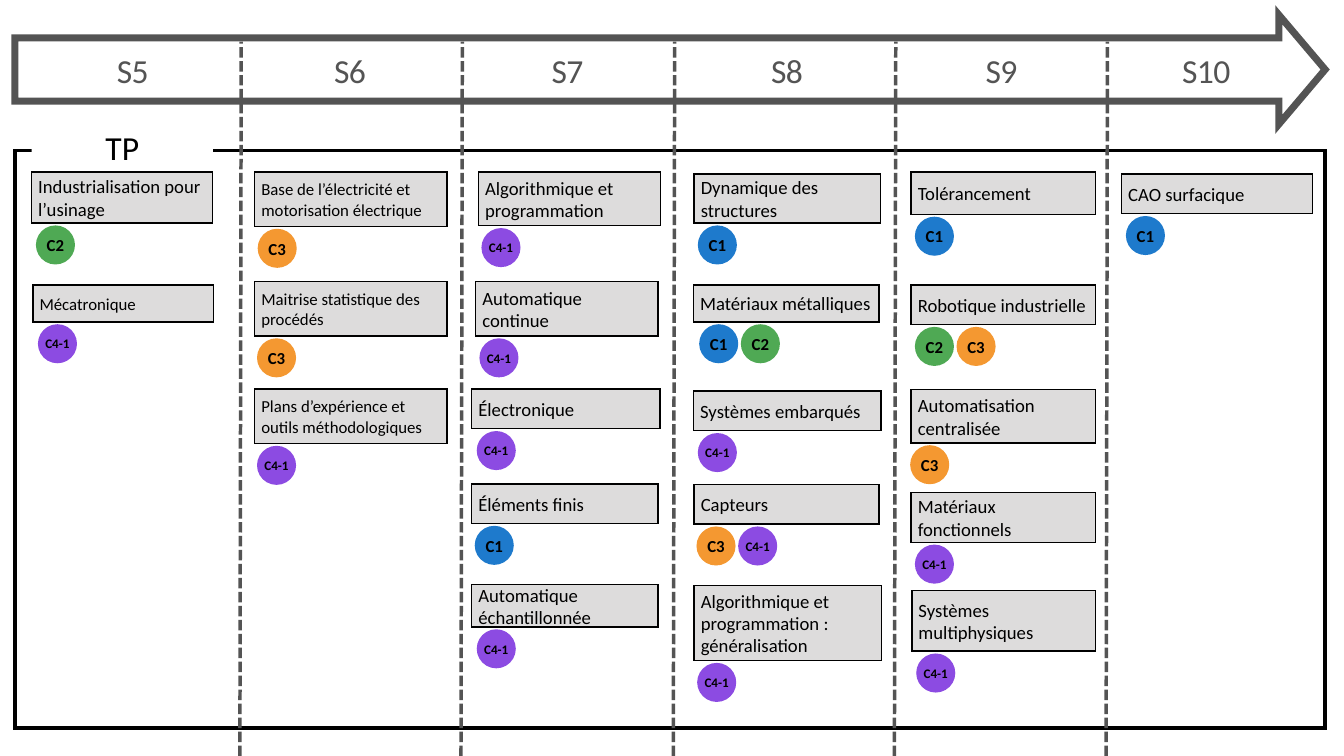
from lxml import etree
from pptx import Presentation
from pptx import util as u
from pptx.dml.color import RGBColor
from pptx.enum import dml, shapes, text
from pptx.oxml.ns import qn

PX = 9144
FONT = "Calibri"
BLACK = RGBColor(0x00, 0x00, 0x00)
WHITE = RGBColor(0xFF, 0xFF, 0xFF)
SLATE = RGBColor(0x54, 0x54, 0x54)
GREY = RGBColor(0xDD, 0xDC, 0xDC)
BLUE = RGBColor(0x1E, 0x7A, 0xCC)
GREEN = RGBColor(0x4F, 0xA9, 0x54)
ORANGE = RGBColor(0xF4, 0x98, 0x31)
PURPLE = RGBColor(0x8C, 0x4B, 0xE2)

SKILLS = {"C1": (BLUE, 18), "C2": (GREEN, 18), "C3": (ORANGE, 18), "C4-1": (PURPLE, 14)}
BADGE, PITCH, GAP = 55, 62, 5
EDGES = [357, 686, 1002, 1331, 1646]
TERMS = [("S5", 39, 317), ("S6", 356, 330), ("S7", 686, 317),
         ("S8", 1010, 322), ("S9", 1333, 315), ("S10", 1647, 296)]

# Each course: dx, dy, width, height, name, size, badge indent, skills
COLUMNS = [
    (47, [(0, 0, 269, 76, "Industrialisation pour l’usinage", 20, 8, ["C2"]),
          (2, 168, 269, 55, "Mécatronique", 18, 9, ["C4-1"])]),
    (379, [(0, 0, 286, 81, "Base de l’électricité et motorisation électrique", 18, 6, ["C3"]),
           (0, 163, 286, 81, "Maitrise statistique des procédés", 18, 5, ["C3"]),
           (0, 323, 286, 81, "Plans d’expérience et outils méthodologiques", 18, 5, ["C4-1"])]),
    (702, [(10, 0, 271, 80, "Algorithmique et programmation", 20, 6, ["C4-1"]),
           (6, 163, 271, 81, "Automatique continue", 20, 7, ["C4-1"]),
           (0, 323, 280, 59, "Électronique", 20, 9, ["C4-1"]),
           (0, 464, 277, 59, "Éléments finis", 20, 6, ["C1"]),
           (0, 614, 277, 63, "Automatique échantillonnée", 20, 9, ["C4-1"])]),
    (1032, [(1, 3, 277, 73, "Dynamique des structures", 20, 7, ["C1"]),
            (0, 168, 276, 55, "Matériaux métalliques", 20, 10, ["C1", "C2"]),
            (0, 326, 279, 59, "Systèmes embarqués", 20, 8, ["C4-1"]),
            (1, 465, 275, 59, "Capteurs", 20, 5, ["C3", "C4-1"]),
            (1, 615, 279, 112, "Algorithmique et programmation : généralisation",
             20, 6, ["C4-1"])]),
    (1356, [(0, 0, 274, 63, "Tolérancement", 20, 7, ["C1"]),
            (0, 168, 274, 59, "Robotique industrielle", 20, 7, ["C2", "C3"]),
            (0, 324, 274, 79, "Automatisation centralisée", 20, 0, ["C3"]),
            (0, 477, 274, 74, "Matériaux fonctionnels", 20, 7, ["C4-1"]),
            (1, 623, 273, 90, "Systèmes multiphysiques", 20, 8, ["C4-1"])]),
    (1669, [(0, 3, 284, 59, "CAO surfacique", 20, 8, ["C1"])]),
]


def write(shape, words, size, color=BLACK, bold=False, center=True, inset=True):
    """Put one styled paragraph in a shape and return the paragraph."""
    frame = shape.text_frame
    frame.word_wrap = True
    frame.vertical_anchor = text.MSO_ANCHOR.MIDDLE
    if not inset:
        frame.margin_left = frame.margin_right = 0
        frame.margin_top = frame.margin_bottom = 0
    para = frame.paragraphs[0]
    para.text = words
    para.alignment = text.PP_ALIGN.CENTER if center else text.PP_ALIGN.LEFT
    font = para.font
    font.name, font.size, font.bold = FONT, u.Pt(size), bold
    font.color.rgb = color
    return para


def draw(slide, kind, box, fill=None, line=None, width=0):
    """Add a preset shape with a flat fill and a mitred outline."""
    shape = slide.shapes.add_shape(kind, *(n * PX for n in box))
    shape.shadow.inherit = False
    if fill is None:
        shape.fill.background()
    else:
        shape.fill.solid()
        shape.fill.fore_color.rgb = fill
    if line is None:
        shape.line.fill.background()
    else:
        shape.line.color.rgb = line
        shape.line.width = u.Pt(width)
        edge = shape.element.spPr.find(qn("a:ln"))
        etree.SubElement(edge, qn("a:miter")).set("lim", "800000")
    return shape


def arrow(slide, left, top, wide, high):
    """Draw the large outlined timeline arrow."""
    shape = draw(slide, shapes.MSO_SHAPE.RIGHT_ARROW, (left, top, wide, high),
                 line=SLATE, width=7.5)
    shape.adjustments[0] = 94 / high
    shape.adjustments[1] = 69 / high


def split(slide, left, top, high):
    """Draw a dashed line between two semesters."""
    ends = (left, top + high, left + 2, top)
    line = slide.shapes.add_connector(shapes.MSO_CONNECTOR.STRAIGHT, *(n * PX for n in ends))
    line.line.color.rgb = SLATE
    line.line.width = u.Pt(3.75)
    line.line.dash_style = dml.MSO_LINE.SQUARE_DOT
    etree.SubElement(line.element.spPr, qn("a:effectLst"))


def term(slide, words, left, top, wide, high):
    """Write a semester name inside the arrow."""
    box = slide.shapes.add_textbox(*(n * PX for n in (left, top, wide, high)))
    para = write(box, words, 36, SLATE, inset=False)
    box.text_frame.vertical_anchor = text.MSO_ANCHOR.TOP
    para.line_spacing = u.Pt(46.8)
    para.runs[0].font._element.set("spc", "-70")


def panel(slide, left, top, wide, high):
    """Draw the main frame with its title over the top edge."""
    rect = shapes.MSO_SHAPE.RECTANGLE
    draw(slide, rect, (left, top, wide, high), line=BLACK, width=3.75)
    for edge in EDGES:
        split(slide, edge, 62, 1063)
    title = draw(slide, rect, (left + 25, top - 36, 270, 61), WHITE)
    write(title, "TP", 36)


def badge(slide, left, top, skill):
    """Draw a round skill badge."""
    color, size = SKILLS[skill]
    disc = draw(slide, shapes.MSO_SHAPE.OVAL, (left, top, BADGE, BADGE), color, color, 2.25)
    write(disc, skill, size, bold=True, inset=False)


def column(slide, left, top, courses):
    """Place the courses of one semester with their badges below."""
    for dx, dy, wide, high, name, size, indent, skills in courses:
        x, y = left + dx, top + dy
        card = draw(slide, shapes.MSO_SHAPE.RECTANGLE, (x, y, wide, high), GREY, BLACK, 1.5)
        write(card, name, size, center=False)
        for i, skill in enumerate(skills):
            badge(slide, x + indent + i * PITCH, y + high + GAP, skill)


def main():
    """Build the slide and save it."""
    deck = Presentation()
    deck.slide_width, deck.slide_height = 2000 * PX, 1125 * PX
    slide = deck.slides.add_slide(deck.slide_layouts[6])
    arrow(slide, 22, 22, 1950, 163)
    panel(slide, 22, 224, 1950, 859)
    for name, left, wide in TERMS:
        term(slide, name, left, 70, wide, 63)
    for left, courses in COLUMNS:
        column(slide, left, 256, courses)
    deck.save("out.pptx")


if __name__ == "__main__":
    main()
